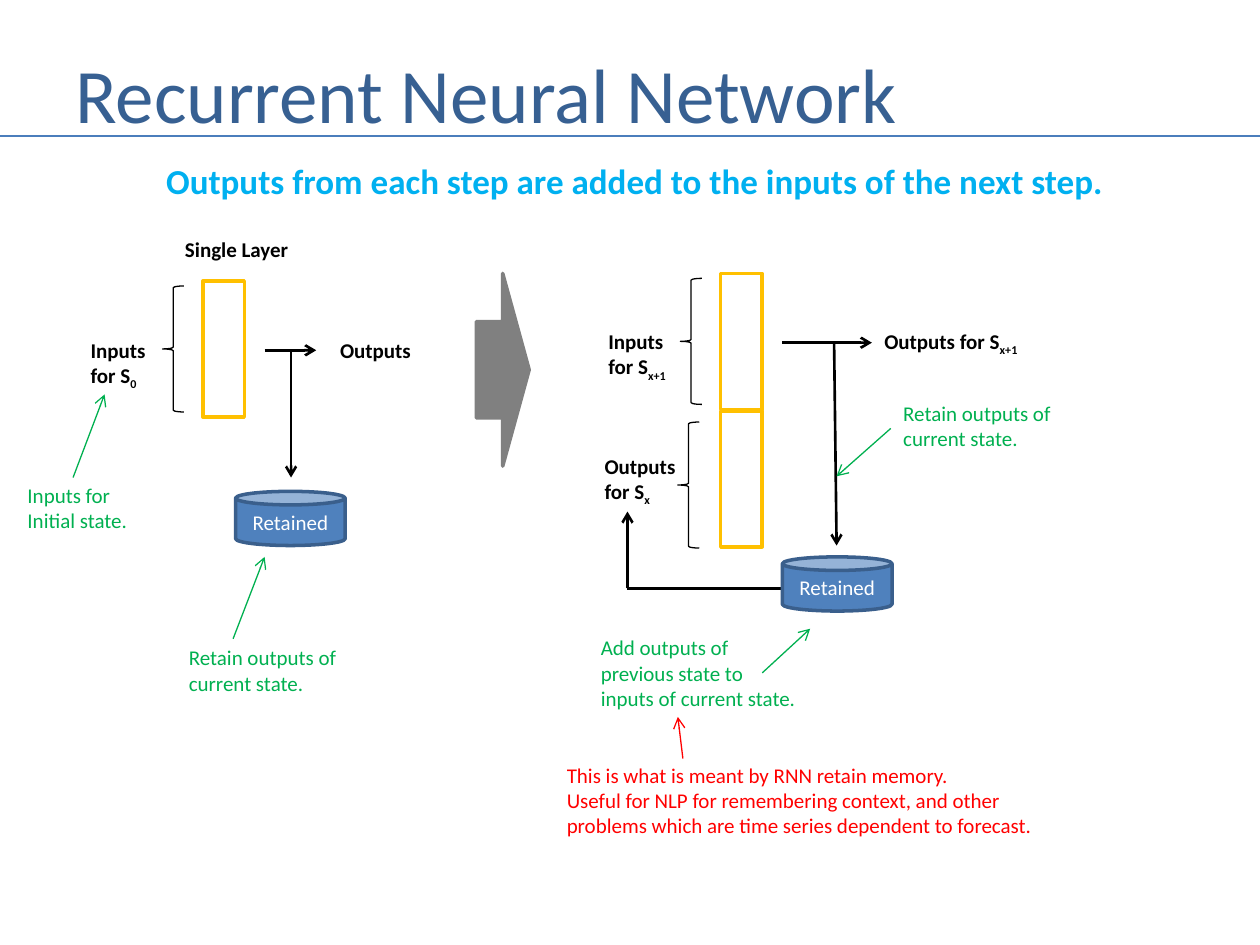
import pptx
import pptx.util
import pptx.dml.color
import pptx.enum.shapes
import pptx.enum.text
import pptx.oxml.ns
import lxml.etree

Inches, Pt = pptx.util.Inches, pptx.util.Pt
SHAPE = pptx.enum.shapes.MSO_SHAPE
ANCHOR = pptx.enum.text.MSO_ANCHOR
ALIGN = pptx.enum.text.PP_ALIGN

BLACK, GREEN, RED, AMBER, GREY = "000000", "00B050", "FF0000", "FFC000", "808080"

# Content: "_" marks the start of a subscript
TITLE = "Recurrent Neural Network"
SUMMARY = "Outputs from each step are added to the inputs of the next step."
RETAIN_NOTE = ["Retain outputs of", "current state."]

# Captions: left, top, width, height, lines
LABELS = [
    (1.37, 1.83, 1.03, 0.3, ["Single Layer"]),
    (0.62, 2.63, 0.65, 0.5, ["Inputs", "for S_0"]),
    (2.6, 2.63, 0.81, 0.3, ["Outputs"]),
    (4.73, 2.56, 0.71, 0.5, ["Inputs", "for S_x+1"]),
    (6.92, 2.56, 1.33, 0.3, ["Outputs for S_x+1"]),
    (4.7, 3.55, 0.77, 0.5, ["Outputs", "for S_x"]),
]
NOTES = [
    (0.12, 3.78, 1, 0.5, GREEN, ["Inputs for", "Initial state."]),
    (1.4, 5.07, 1.38, 0.5, GREEN, RETAIN_NOTE),
    (7.07, 3.13, 1.38, 0.5, GREEN, RETAIN_NOTE),
    (4.67, 4.99, 1.76, 0.71, GREEN,
     ["Add outputs of", "previous state to", "inputs of current state."]),
    (4.4, 6, 3.93, 0.71, RED,
     ["This is what is meant by RNN retain memory.",
      "Useful for NLP for remembering context, and other",
      "problems which are time series dependent to forecast."]),
]

# Diagram parts: left, top
LAYERS = [(1.61, 2.23), (5.72, 2.17), (5.72, 3.26)]
BRACES = [(1.29, 2.27), (5.4, 2.21), (5.38, 3.35)]
STORES = [(1.87, 3.9), (6.21, 4.42)]

# Lines: from x, from y, to x, to y
FLOWS = [
    (2.1, 2.78, 2.51, 2.78), (2.31, 2.78, 2.31, 3.79),
    (6.21, 2.72, 6.92, 2.72), (6.62, 2.71, 6.64, 4.33),
    (4.98, 4.67, 4.98, 4.06),
]
FEEDBACK = (4.98, 4.67, 6.42, 4.67)
POINTERS = [
    (0.58, 3.79, 0.83, 3.13, GREEN), (1.85, 5.07, 2.1, 4.42, GREEN),
    (7.07, 3.4, 6.64, 3.78, GREEN), (6.05, 5.34, 6.43, 4.99, GREEN),
    (5.42, 6.02, 5.38, 5.69, RED),
]

deck = pptx.Presentation()
deck.slide_width, deck.slide_height = Inches(10), Inches(7.5)
slide = deck.slides.add_slide(deck.slide_layouts[6])


def rgb(color):
    return pptx.dml.color.RGBColor.from_string(color)


def write(frame, lines, color, size=12, bold=False):
    for index, line in enumerate(lines):
        paragraph = frame.paragraphs[0] if index == 0 else frame.add_paragraph()
        font = paragraph.font
        font.name, font.size, font.bold = "Calibri", Pt(size), bold
        font.color.rgb = rgb(color)
        base, _, subscript = line.partition("_")
        paragraph.add_run().text = base
        if subscript:
            lowered = paragraph.add_run()
            lowered.text = subscript
            lowered.font._element.set("baseline", "-25000")


def add_text(left, top, width, height, lines, color, size=12, bold=False):
    box = slide.shapes.add_textbox(*map(Inches, (left, top, width, height)))
    box.text_frame.word_wrap = False
    write(box.text_frame, lines, color, size, bold)
    return box.text_frame


def add_part(kind, left, top, width, height, line, weight=2, fill=None):
    part = slide.shapes.add_shape(kind, *map(Inches, (left, top, width, height)))
    part.shadow.inherit = False
    if fill:
        part.fill.solid()
        part.fill.fore_color.rgb = rgb(fill)
    else:
        part.fill.background()
    part.line.color.rgb = rgb(line)
    part.line.width = Pt(weight)
    return part


def add_line(ends, color, weight, arrow=True):
    line = slide.shapes.add_connector(
        pptx.enum.shapes.MSO_CONNECTOR.STRAIGHT, *map(Inches, ends))
    line.line.color.rgb = rgb(color)
    line.line.width = Pt(weight)
    qn = pptx.oxml.ns.qn
    if arrow:
        lxml.etree.SubElement(line.line._get_or_add_ln(), qn("a:tailEnd"), type="arrow")
    lxml.etree.SubElement(line._element.spPr, qn("a:effectLst"))


# Heading
heading = add_text(0.5, 0.3, 9.08, 0.87, [TITLE], "376092", 44)
heading.vertical_anchor = ANCHOR.MIDDLE
add_line((0, 1.08, 10, 1.08), "4B7EBC", 1.5, arrow=False)
add_text(1.22, 1.22, 7.7, 0.44, [SUMMARY], "00B0F0", 20, bold=True)

# Layers, braces and the step arrow
for left, top in LAYERS:
    add_part(SHAPE.RECTANGLE, left, top, 0.33, 1.08, AMBER)
for left, top in BRACES:
    add_part(SHAPE.LEFT_BRACE, left, top, 0.17, 1, BLACK, 0.75)
add_part(SHAPE.RIGHT_ARROW, 3.78, 2.17, 0.42, 1.53, GREY, fill=GREY)

# Flow lines and pointers
add_line(FEEDBACK, BLACK, 1.5, arrow=False)
for ends in FLOWS:
    add_line(ends, BLACK, 1.5)
for *ends, color in POINTERS:
    add_line(ends, color, 0.75)

# Retained stores
for left, top in STORES:
    store = add_part(SHAPE.CAN, left, top, 0.87, 0.43, "3A5F8C", fill="4F81BD")
    store.text_frame.vertical_anchor = ANCHOR.MIDDLE
    store.text_frame.word_wrap = False
    write(store.text_frame, ["Retained"], "FFFFFF")
    store.text_frame.paragraphs[0].alignment = ALIGN.CENTER

# Captions and notes
for *place, lines in LABELS:
    add_text(*place, lines, BLACK, bold=True)
for *place, color, lines in NOTES:
    add_text(*place, lines, color)

deck.save("out.pptx")
